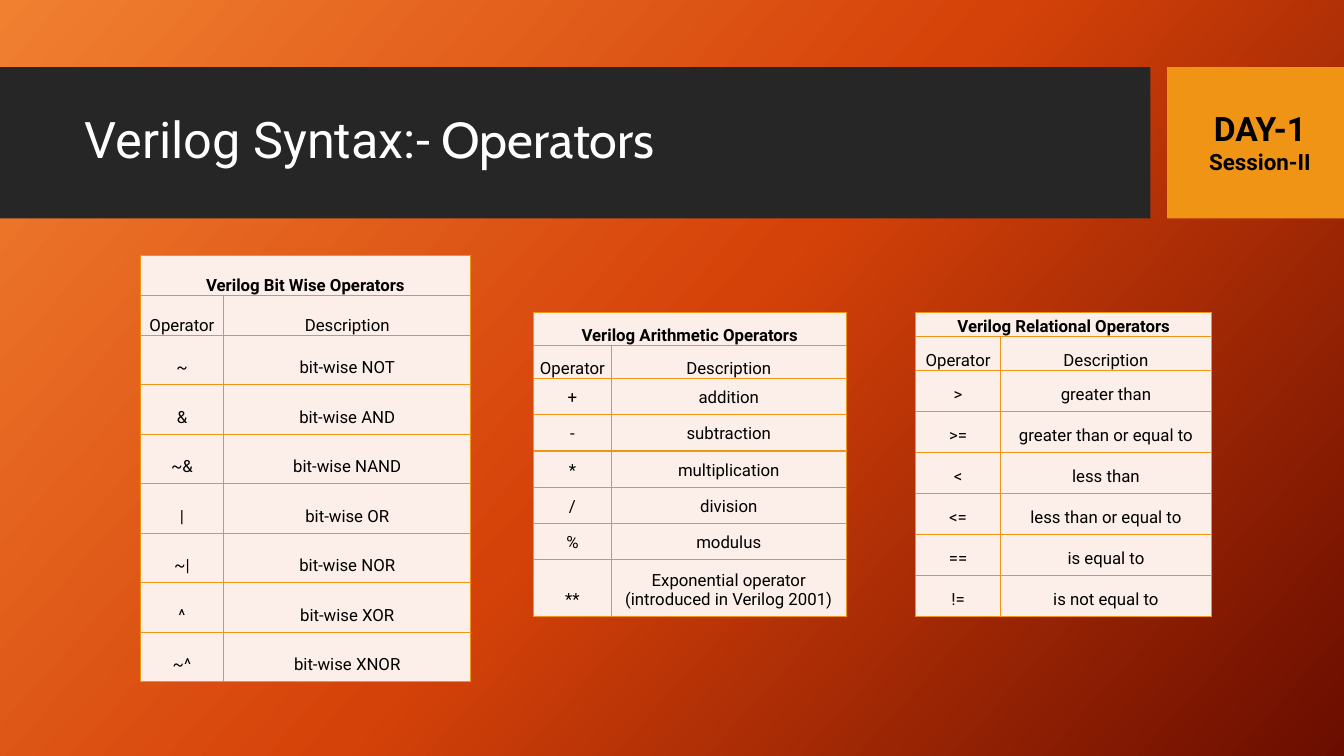
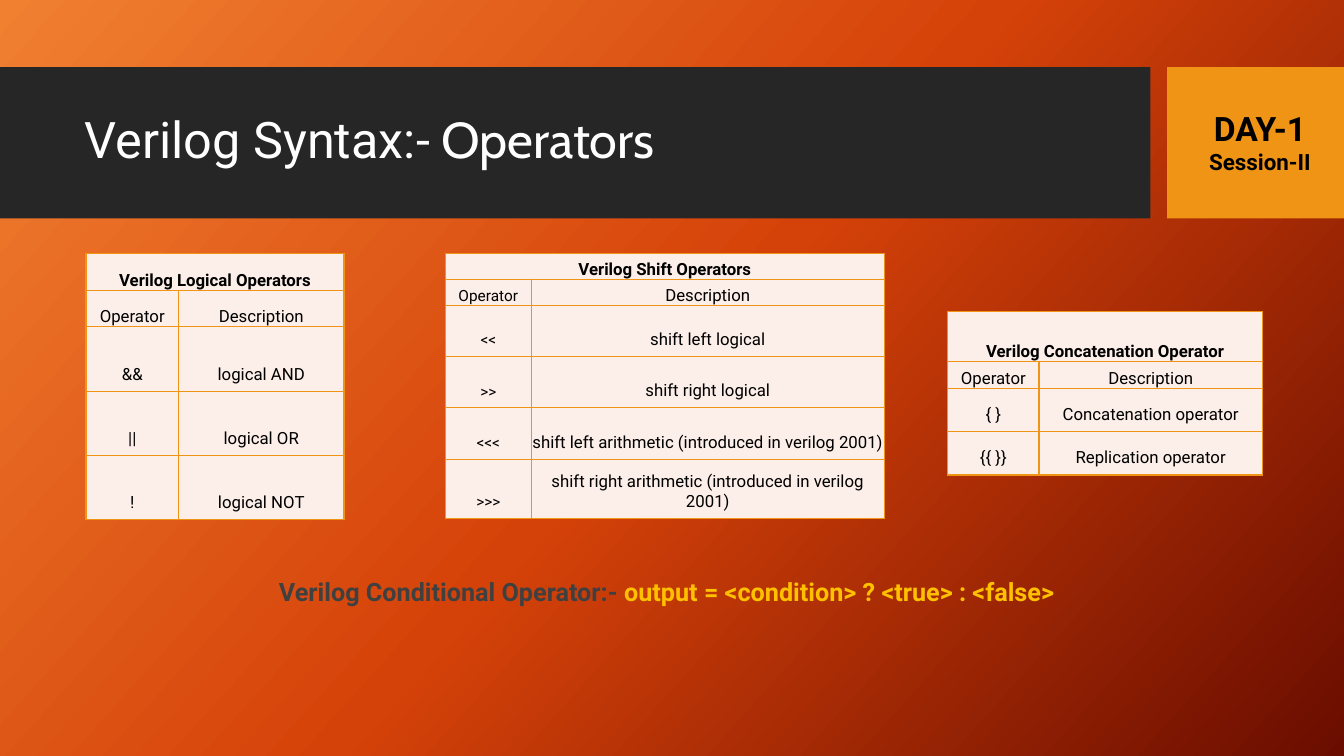
from dataclasses import dataclass

from lxml.etree import SubElement
from pptx import Presentation
from pptx.dml.color import RGBColor
from pptx.enum.shapes import MSO_SHAPE
from pptx.enum.text import MSO_ANCHOR, MSO_AUTO_SIZE, PP_ALIGN
from pptx.oxml.ns import qn
from pptx.util import Pt


@dataclass(frozen=True)
class Theme:
    gradient: tuple = ((0, "F18031"), (50, "D54209"), (100, "6A0D00"))
    gradient_angle: int = 42
    band: str = "262626"
    accent: str = "F09415"
    cell: str = "FCEEE8"
    white: str = "FFFFFF"
    black: str = "000000"
    label: str = "404040"
    highlight: str = "FFC000"
    font: str = "Roboto"
    title_font: str = "Cabin"
    title_size: int = 36
    day_size: int = 24
    session_size: int = 16
    note_size: int = 18
    table_size: int = 12
    small_size: int = 11


THEME = Theme()

# Content
TITLE = (("Verilog Syntax:-", THEME.font), (" Operators", THEME.title_font))
DAY = (("DAY-1", THEME.day_size), ("Session-II", THEME.session_size))
COLUMN_NAMES = ("Operator", "Description")

# Heights are: heading row, column names, body rows, last row
BITWISE = dict(
    heading="Verilog Bit Wise Operators", corner=(100.1, 182.2),
    widths=(59.8, 176.4), heights=(28.6, 28.6, 35.4, 35.4),
    rows=(("~", "bit-wise NOT"), ("&", "bit-wise AND"), ("~&", "bit-wise NAND"),
          ("|", "bit-wise OR"), ("~|", "bit-wise NOR"), ("^", "bit-wise XOR"),
          ("~^", "bit-wise XNOR")))
ARITHMETIC = dict(
    heading="Verilog Arithmetic Operators", corner=(381, 223.2),
    widths=(55.8, 167.6), heights=(23.6, 23.6, 25.9, 40.8),
    rows=(("+", "addition"), ("-", "subtraction"), ("*", "multiplication"),
          ("/", "division"), ("%", "modulus"),
          ("**", "Exponential operator (introduced in Verilog 2001)")))
RELATIONAL = dict(
    heading="Verilog Relational Operators", corner=(654.2, 223.2),
    widths=(60.3, 151), heights=(17.3, 24.1, 29.3, 29.3),
    rows=((">", "greater than"), (">=", "greater than or equal to"),
          ("<", "less than"), ("<=", "less than or equal to"),
          ("==", "is equal to"), ("!=", "is not equal to")))
LOGICAL = dict(
    heading="Verilog Logical Operators", corner=(61.4, 181.1),
    widths=(66.2, 118.2), heights=(26.2, 26.2, 45.9, 45.9),
    rows=(("&&", "logical AND"), ("||", "logical OR"), ("!", "logical NOT")))
SHIFT = dict(
    heading="Verilog Shift Operators", corner=(318.2, 181),
    widths=(61.3, 252.2), heights=(18.6, 18.4, 36.7, 42.3),
    symbol_size=THEME.small_size,
    rows=(("<<", "shift left logical"), (">>", "shift right logical"),
          ("<<<", "shift left arithmetic (introduced in verilog 2001)"),
          (">>>", "shift right arithmetic (introduced in verilog 2001)")))
CONCATENATION = dict(
    heading="Verilog Concatenation Operator", corner=(677, 222.5),
    widths=(65.2, 159.6), heights=(35.5, 19.3, 31, 31),
    rows=(("{ }", "Concatenation operator"), ("{{ }}", "Replication operator")))

CONDITIONAL = (("Verilog Conditional Operator:- ", THEME.label),
               ("output = <condition> ? <true> : <false>", THEME.highlight))
PAGES = (((BITWISE, ARITHMETIC, RELATIONAL), None),
         ((LOGICAL, SHIFT, CONCATENATION), CONDITIONAL))

# Places: left, top, width, height
BANDS = (((0, 48, 821.8, 108), THEME.band), ((833.6, 48, 126.4, 108), THEME.accent))
TITLE_PLACE = (53.3, 59, 756.7, 85)
DAY_PLACE = (856, 73.4, 88, 55.4)
NOTE_PLACE = (192.2, 408.2, 575.3, 29)


def points(values):
    return [Pt(value) for value in values]


def style(font, size, color=THEME.black, bold=False, name=THEME.font):
    font.size = Pt(size)
    font.name = name
    font.bold = bold
    font.color.rgb = RGBColor.from_string(color)


def paint_background(master):
    fill = master.background.fill
    fill.gradient()
    fill.gradient_angle = 360 - THEME.gradient_angle
    stops = master.element.find(".//" + qn("a:gsLst"))
    for stop in list(stops):
        stops.remove(stop)
    for position, color in THEME.gradient:
        stop = SubElement(stops, qn("a:gs"), pos=str(position * 1000))
        SubElement(stop, qn("a:srgbClr"), val=color)


def add_bands(layout, page):
    """Draw the bands once and hand them to the shared layout."""
    for index, (place, color) in enumerate(BANDS):
        band = page.shapes.add_shape(MSO_SHAPE.RECTANGLE, *points(place))
        band.shadow.inherit = False
        band.fill.solid()
        band.fill.fore_color.rgb = RGBColor.from_string(color)
        band.line.fill.background()
        layout.shapes.element.insert(2 + index, band.element)


def fill_title(title):
    title.left, title.top, title.width, title.height = points(TITLE_PLACE)
    frame = title.text_frame
    frame.vertical_anchor = MSO_ANCHOR.MIDDLE
    frame.auto_size = MSO_AUTO_SIZE.NONE
    para = frame.paragraphs[0]
    para.alignment = PP_ALIGN.LEFT
    para.line_spacing = 0.9
    for text, font_name in TITLE:
        span = para.add_run()
        span.text = text
        style(span.font, THEME.title_size, THEME.white, name=font_name)


def add_text_box(page, place):
    frame = page.shapes.add_textbox(*points(place)).text_frame
    frame.word_wrap = False
    frame.auto_size = MSO_AUTO_SIZE.SHAPE_TO_FIT_TEXT
    return frame


def add_day(page):
    frame = add_text_box(page, DAY_PLACE)
    frame.text = "\n".join(text for text, size in DAY)
    for para, (text, size) in zip(frame.paragraphs, DAY):
        para.alignment = PP_ALIGN.CENTER
        style(para.runs[0].font, size, bold=True)


def add_note(page, parts):
    para = add_text_box(page, NOTE_PLACE).paragraphs[0]
    for text, color in parts:
        span = para.add_run()
        span.text = text
        style(span.font, THEME.note_size, color, bold=True)


def set_borders(cell):
    properties = cell._tc.get_or_add_tcPr()
    for index, side in enumerate(("a:lnL", "a:lnR", "a:lnT", "a:lnB")):
        line = SubElement(properties, qn(side), w=str(Pt(1)))
        solid = SubElement(line, qn("a:solidFill"))
        SubElement(solid, qn("a:srgbClr"), val=THEME.accent)
        properties.insert(index, line)


def format_cell(cell, is_body):
    cell.fill.solid()
    cell.fill.fore_color.rgb = RGBColor.from_string(THEME.cell)
    cell.vertical_anchor = MSO_ANCHOR.BOTTOM
    cell.margin_left = cell.margin_right = Pt(0.7)
    cell.margin_top = Pt(5 if is_body else 0.7)
    cell.margin_bottom = Pt(5 if is_body else 0)
    set_borders(cell)


def add_operator_table(page, heading, corner, widths, heights, rows,
                       symbol_size=THEME.table_size):
    lines = ((heading, ""), COLUMN_NAMES, *rows)
    first, second, body, last = heights
    row_heights = [first, second, *[body] * (len(rows) - 1), last]
    place = (*corner, sum(widths), sum(row_heights))
    table = page.shapes.add_table(len(lines), len(widths), *points(place)).table
    table.first_row = table.horz_banding = False
    for column, width in zip(table.columns, widths):
        column.width = Pt(width)
    for row, height in zip(table.rows, row_heights):
        row.height = Pt(height)
    for row_index, line in enumerate(lines):
        for column_index, text in enumerate(line):
            cell = table.cell(row_index, column_index)
            format_cell(cell, is_body=row_index > 1)
            cell.text = text
            para = cell.text_frame.paragraphs[0]
            para.alignment = PP_ALIGN.CENTER
            is_symbol = row_index > 0 and column_index == 0
            size = symbol_size if is_symbol else THEME.table_size
            style(para.font, size)
            for span in para.runs:
                style(span.font, size, bold=row_index == 0)
    table.cell(0, 0).merge(table.cell(0, 1))


def main():
    deck = Presentation()
    deck.slide_width, deck.slide_height = Pt(960), Pt(540)
    layout = deck.slide_layouts[5]
    paint_background(deck.slide_master)
    for number, (tables, note) in enumerate(PAGES):
        page = deck.slides.add_slide(layout)
        if number == 0:
            add_bands(layout, page)
        fill_title(page.shapes.title)
        for table in tables:
            add_operator_table(page, **table)
        if note:
            add_note(page, note)
        add_day(page)
    deck.save("out.pptx")


if __name__ == "__main__":
    main()
